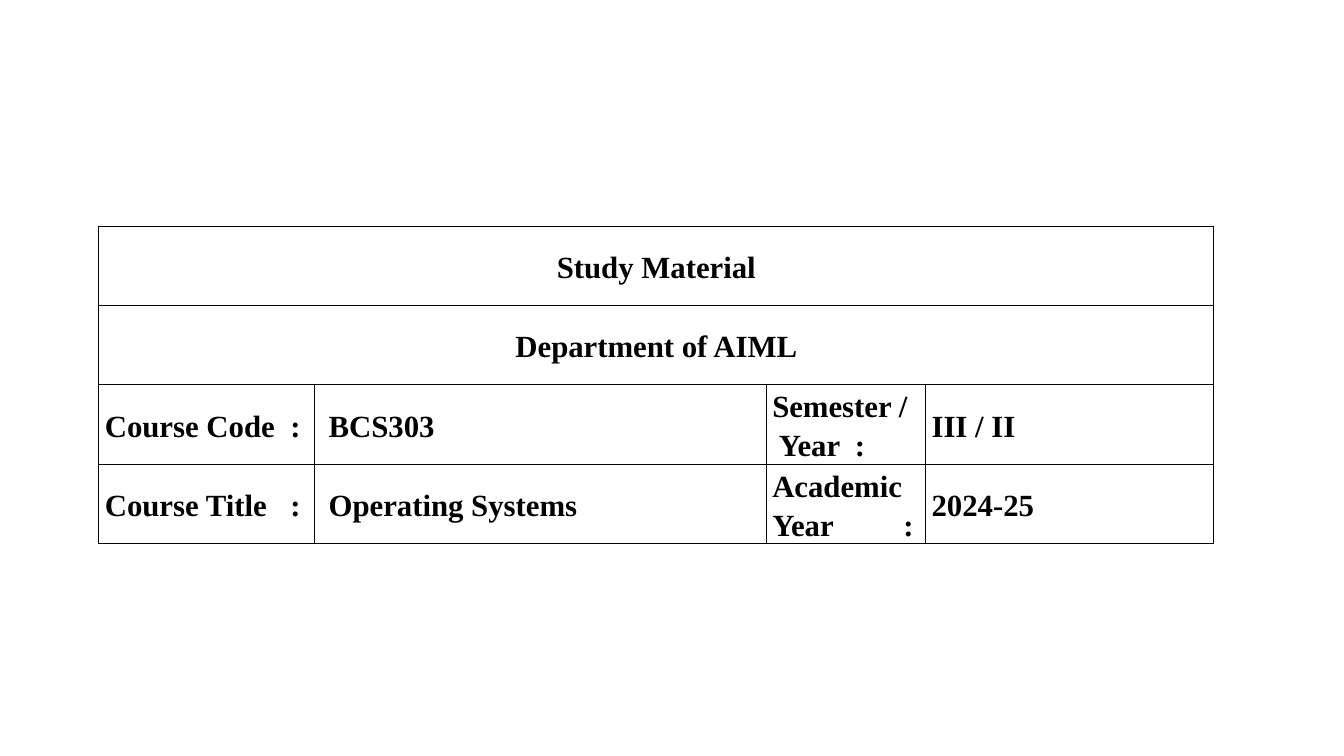
"""Build a study material slide with a course details table."""
from lxml.etree import SubElement
from pptx import Presentation
from pptx.dml.color import RGBColor
from pptx.enum.text import MSO_ANCHOR, PP_ALIGN
from pptx.oxml.ns import qn
from pptx.util import Inches, Pt

BLACK = "000000"
WIDTHS = [2.14, 4.48, 1.58, 2.86]
HEIGHTS = [0.78, 0.78, 0.8, 0.78]
STOPS = {(2, 0): 1.84, (3, 0): 1.84, (2, 2): 0.82, (3, 2): 1.3}
ROWS = [
    ["Study Material", "", "", ""],
    ["Department of AIML", "", "", ""],
    ["Course Code\t:", "BCS303", "Semester /\n Year\t:", "III / II"],
    ["Course Title\t:", "Operating Systems", "Academic Year\t:", "2024-25"],
]


def color(code):
    return RGBColor.from_string(code)


def border(cell):
    props = cell._tc.get_or_add_tcPr()
    for side in ("lnL", "lnR", "lnT", "lnB"):
        line = SubElement(props, qn(f"a:{side}"), w=str(Pt(0.75)))
        fill = SubElement(line, qn("a:solidFill"))
        SubElement(fill, qn("a:srgbClr"), val=BLACK)


deck = Presentation()
deck.slide_width, deck.slide_height = Inches(13.33), Inches(7.5)
slide = deck.slides.add_slide(deck.slide_layouts[6])
frame = slide.shapes.add_table(
    len(ROWS), len(WIDTHS), Inches(0.98), Inches(2.25),
    Inches(sum(WIDTHS)), Inches(sum(HEIGHTS)))
table = frame.table
table.first_row = table.horz_banding = False

for column, width in zip(table.columns, WIDTHS):
    column.width = Inches(width)
for row, height in zip(table.rows, HEIGHTS):
    row.height = Inches(height)
for top in range(2):
    table.cell(top, 0).merge(table.cell(top, 3))

for r, texts in enumerate(ROWS):
    for c, text in enumerate(texts):
        cell = table.cell(r, c)
        border(cell)
        cell.fill.background()
        cell.vertical_anchor = MSO_ANCHOR.MIDDLE
        cell.margin_left = Inches(0.14 if c == 1 else 0.06)
        cell.margin_right = Inches(0.06)
        cell.margin_top = cell.margin_bottom = 0
        cell.text = text
        for para in cell.text_frame.paragraphs:
            para.alignment = PP_ALIGN.CENTER if r < 2 else PP_ALIGN.LEFT
            para.line_spacing = 1.15
            if "\t" in para.text:
                tabs = SubElement(para._p.get_or_add_pPr(), qn("a:tabLst"))
                stop = Inches(STOPS[r, c])
                SubElement(tabs, qn("a:tab"), pos=str(stop), algn="l")
            font = para.font
            font.name, font.size, font.bold = "Times New Roman", Pt(22), True
            font.color.rgb = color(BLACK)

deck.save("out.pptx")
